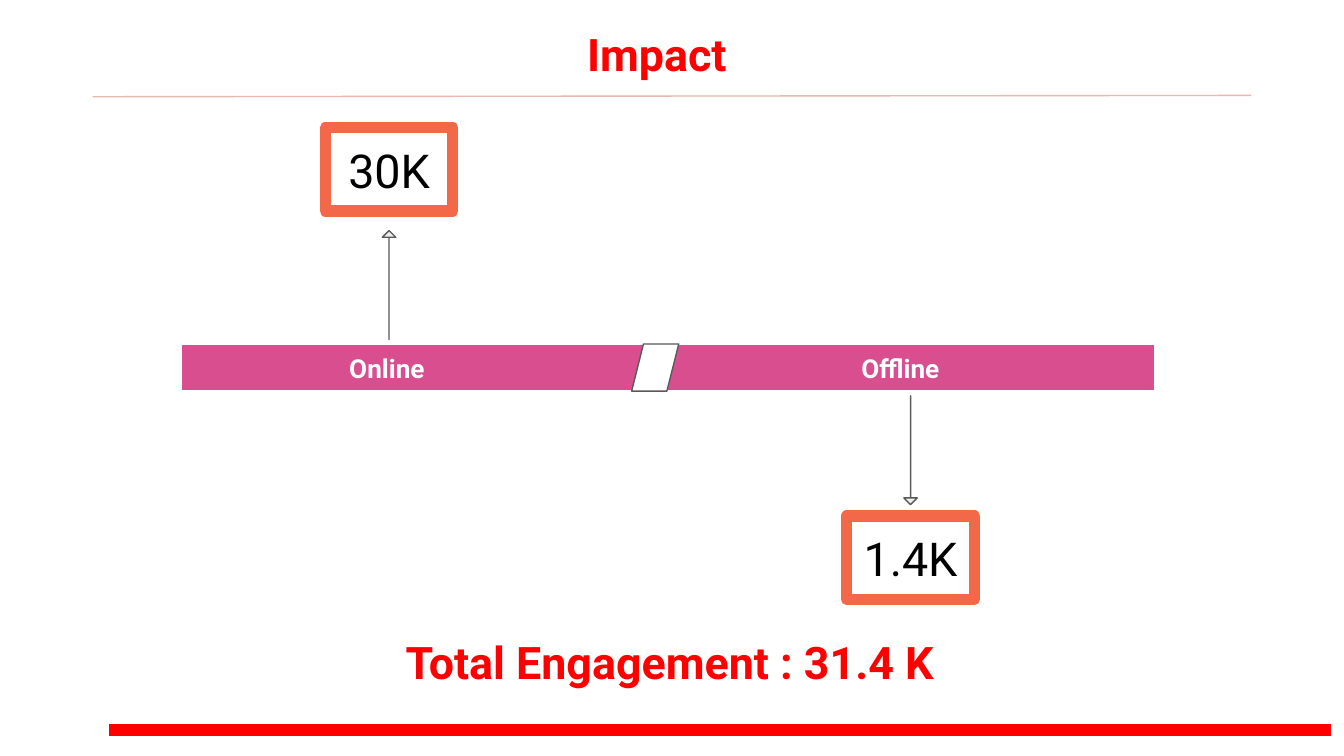
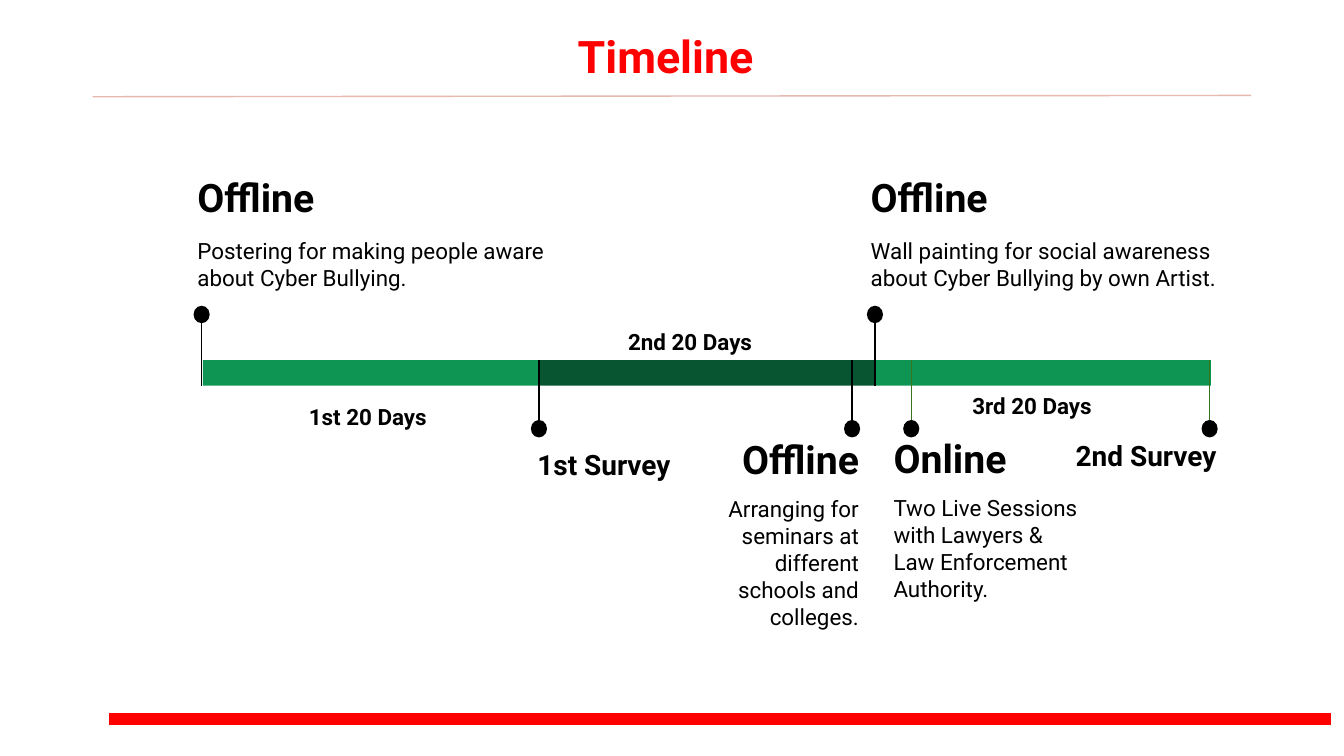
import pptx
import pptx.dml.color
import pptx.enum.shapes
import pptx.enum.text
import pptx.oxml.ns
import pptx.util
from lxml import etree

# Grid: 100 columns by 56.25 rows of square cells
COLUMNS, ROWS = 100, 56.25
CELL = pptx.util.Inches(0.1)

RED, WHITE, BLACK, GREY = "FF0000", "FFFFFF", "000000", "595959"
ROSE, PINK, ORANGE, PALE = "E6B8AF", "D94E8F", "F26849", "EEEEEE"
GREEN, DARK_GREEN, STEM_GREEN = "0E9453", "085631", "38761D"
FONT = "Roboto"

SHAPES = pptx.enum.shapes.MSO_SHAPE
ALIGN = pptx.enum.text.PP_ALIGN
ANCHOR = pptx.enum.text.MSO_ANCHOR

STYLES = {
    "title": {"size": 24, "bold": True, "color": RED},
    "band": {"size": 14, "bold": True, "color": WHITE},
    "figure": {"size": 25, "bold": False, "color": BLACK},
    "heading": {"size": 21, "bold": True, "color": BLACK},
    "survey": {"size": 15, "bold": True, "color": BLACK},
    "period": {"size": 12, "bold": True, "color": BLACK},
    "body": {"size": 12, "bold": False, "color": BLACK},
}

# Timeline measures
BAR_LEFT, BAR_TOP, BAR_HEIGHT, PERIOD_WIDTH = 15.1, 26.8, 1.9, 25
DOT_WIDTH, DOT_HEIGHT = 1.2, 1.3
DOT_ABOVE, DOT_BELOW = 23.4, 31.9


def cells(*counts):
    return [round(count * CELL) for count in counts]


def rgb(color):
    return pptx.dml.color.RGBColor.from_string(color)


def add_shape(page, kind, place, fill, line=None, width=0.75):
    shape = page.shapes.add_shape(kind, *cells(*place))
    shape.shadow.inherit = False
    shape.fill.solid()
    shape.fill.fore_color.rgb = rgb(fill)
    if line:
        shape.line.color.rgb = rgb(line)
        shape.line.width = pptx.util.Pt(width)
    else:
        shape.line.fill.background()
    return shape


def add_line(page, start, end, color):
    line = page.shapes.add_connector(
        pptx.enum.shapes.MSO_CONNECTOR.STRAIGHT, *cells(*start, *end))
    line.line.color.rgb = rgb(color)
    line.line.width = pptx.util.Pt(0.75)
    properties = line._element.spPr
    etree.SubElement(properties, pptx.oxml.ns.qn("a:effectLst"))


def write(shape, paragraphs, align=ALIGN.LEFT, anchor=ANCHOR.TOP, **spacing):
    """Fill a shape with (text, style name, points before) paragraphs."""
    frame = shape.text_frame
    frame_format = {"word_wrap": True, "vertical_anchor": anchor}
    for side in ("left", "right", "top", "bottom"):
        frame_format[f"margin_{side}"] = CELL
    for name, value in frame_format.items():
        setattr(frame, name, value)
    for index, (text, style, before) in enumerate(paragraphs):
        para = frame.add_paragraph() if index else frame.paragraphs[0]
        para_format = {"alignment": align, **spacing}
        if before:
            para_format["space_before"] = pptx.util.Pt(before)
        for name, value in para_format.items():
            setattr(para, name, value)
        span = para.add_run()
        span.text = text
        look = STYLES[style]
        font_format = {"name": FONT, "bold": look["bold"],
                       "size": pptx.util.Pt(look["size"])}
        for name, value in font_format.items():
            setattr(span.font, name, value)
        span.font.color.rgb = rgb(look["color"])


def add_text(page, place, text, style, **options):
    box = page.shapes.add_textbox(*cells(*place))
    write(box, [(text, style, 0)], **options)


def add_activity(page, place, heading, body, gap, align=ALIGN.LEFT):
    box = page.shapes.add_textbox(*cells(*place))
    write(box, [(heading, "heading", 0), (body, "body", gap)], align)


def add_page(deck, title, title_place, footer_top):
    """Blank page with the shared title, divider and footer band."""
    page = deck.slides.add_slide(deck.slide_layouts[6])
    add_shape(page, SHAPES.RECTANGLE, (8.1, footer_top, 91, 1), RED, WHITE)
    add_line(page, (6.9, 7.2), (93.1, 7.1), ROSE)
    add_text(page, title_place, title, "title")
    return page


def add_figure(page, center, top, text):
    box = add_shape(page, SHAPES.RECTANGLE, (center - 4.75, top, 9.5, 6.2),
                    WHITE, ORANGE, 6)
    write(box, [(text, "figure", 0)], ALIGN.CENTER, ANCHOR.MIDDLE)


def add_arrow(page, center, middle, rotation):
    length, thickness = 8.1, 1
    place = (center - length / 2, middle - thickness / 2, length, thickness)
    arrow = add_shape(page, SHAPES.RIGHT_ARROW, place, PALE, GREY)
    arrow.adjustments[0] = 0
    arrow.rotation = rotation


def add_pin(page, column, dot_row, color):
    """Stem across the bar, ending in a dot above or below it."""
    above = dot_row < BAR_TOP
    far_edge = BAR_TOP + BAR_HEIGHT if above else BAR_TOP
    add_line(page, (column, dot_row), (column, far_edge), color)
    add_shape(page, SHAPES.OVAL, (column - DOT_WIDTH / 2,
              dot_row - DOT_HEIGHT / 2, DOT_WIDTH, DOT_HEIGHT), BLACK)


def build_impact(deck):
    page = add_page(deck, "Impact", (42.7, 1, 14.6, 6.1), 53.8)

    # Band split into online and offline
    add_shape(page, SHAPES.RECTANGLE, (13.5, 25.6, 72.4, 3.5), PINK, WHITE)
    add_shape(page, SHAPES.PARALLELOGRAM, (47, 25.6, 3.5, 3.5), WHITE, GREY)
    for left, label in ((25, "Online"), (63.1, "Offline")):
        add_text(page, (left, 25.2, 9.5, 4.4), label, "band")

    # Reach of each channel
    for center, middle, rotation, top, figure in (
            (28.95, 21.2, 270, 9.5, "30K"),
            (67.75, 33.5, 90, 38.4, "1.4K")):
        add_arrow(page, center, middle, rotation)
        add_figure(page, center, top, figure)
    add_text(page, (29.2, 46.2, 42.4, 6.1), "Total Engagement : 31.4 K",
             "title")


def build_timeline(deck):
    page = add_page(deck, "Timeline", (42, 1.1, 16.1, 6.1), 53)

    # Three periods of equal length
    periods = (
        (GREEN, "1st 20 Days", (22, 28.7, 11.1, 5.3), ALIGN.LEFT),
        (DARK_GREEN, "2nd 20 Days", (45.4, 23.1, 11.9, 5.3), ALIGN.CENTER),
        (GREEN, "3rd 20 Days", (71.1, 27.9, 11.4, 5.3), ALIGN.CENTER),
    )
    for index, (color, label, place, align) in enumerate(periods):
        left = BAR_LEFT + index * PERIOD_WIDTH
        add_shape(page, SHAPES.RECTANGLE,
                  (left, BAR_TOP, PERIOD_WIDTH, BAR_HEIGHT), color)
        add_text(page, place, label, "period", align=align, line_spacing=1.15)

    # Pins
    for column, dot_row, color in (
            (15, DOT_ABOVE, BLACK), (40.1, DOT_BELOW, BLACK),
            (65.1, DOT_ABOVE, BLACK), (63.4, DOT_BELOW, BLACK),
            (67.8, DOT_BELOW, STEM_GREEN), (90, DOT_BELOW, STEM_GREEN)):
        add_pin(page, column, dot_row, color)

    # Activities above and below the bar
    add_activity(page, (13.7, 11.9, 28.8, 13.4), "Offline",
                 "Postering for making people aware about Cyber Bullying.", 9)
    add_activity(page, (63.8, 11.9, 28.8, 13.4), "Offline",
                 "Wall painting for social awareness about Cyber Bullying "
                 "by own Artist.", 9)
    add_activity(page, (51.3, 31.4, 13.6, 16.7), "Offline",
                 "Arranging for seminars at different schools and colleges.",
                 7, ALIGN.RIGHT)
    add_activity(page, (65.5, 31.3, 16.1, 14.6), "Online",
                 "Two Live Sessions with Lawyers & Law Enforcement "
                 "Authority.", 7)

    # Surveys
    add_text(page, (39, 32.3, 13.6, 6.2), "1st Survey", "survey")
    add_text(page, (78.7, 31.6, 12.8, 6.2), "2nd Survey", "survey",
             align=ALIGN.RIGHT)


def main():
    deck = pptx.Presentation()
    deck.slide_width, deck.slide_height = cells(COLUMNS, ROWS)
    build_impact(deck)
    build_timeline(deck)
    deck.save("out.pptx")


if __name__ == "__main__":
    main()
